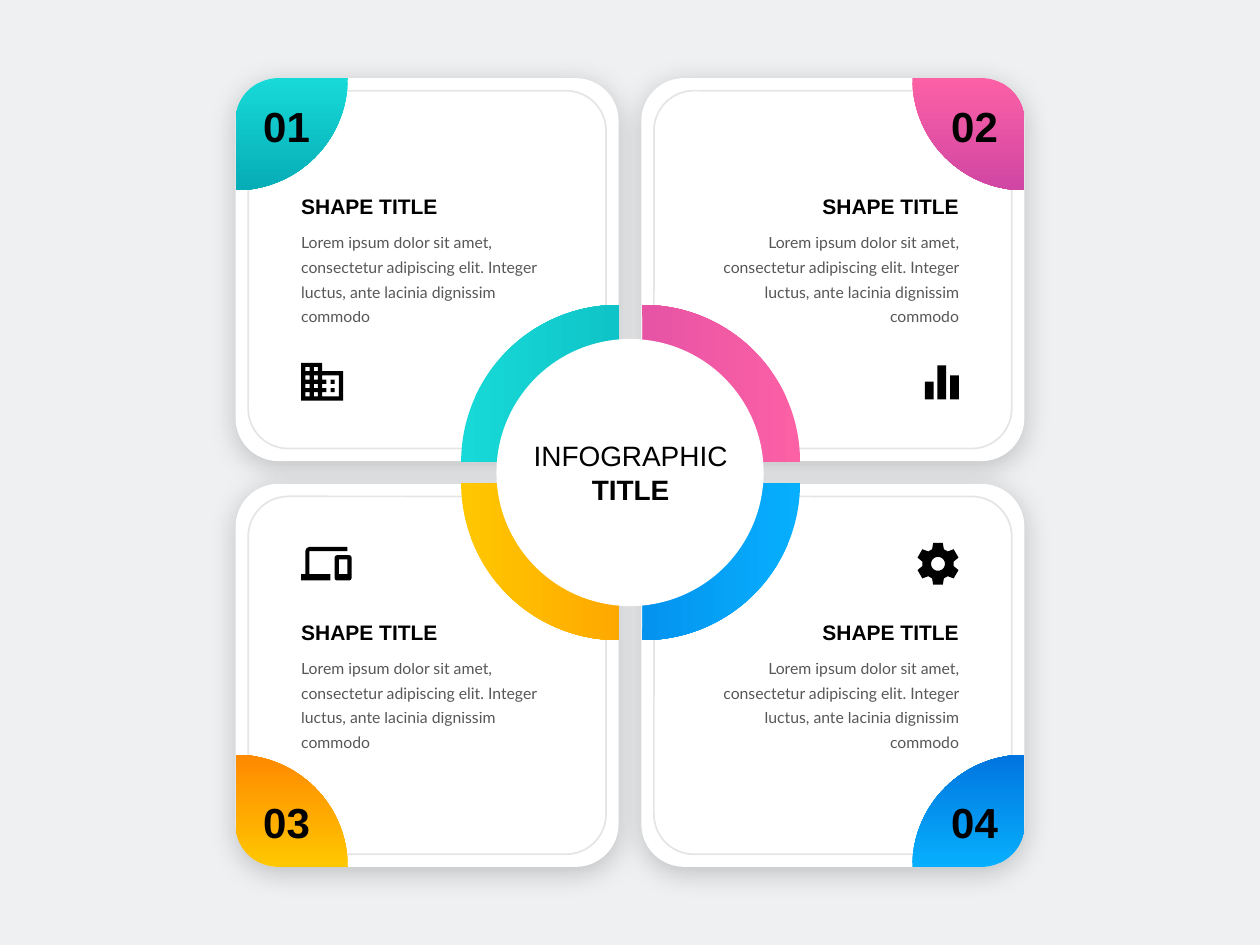
import math

import pptx
import pptx.dml.color
import pptx.enum.shapes
import pptx.enum.text
import pptx.oxml
import pptx.oxml.ns
import pptx.util

Inches, Pt = pptx.util.Inches, pptx.util.Pt
RGBColor = pptx.dml.color.RGBColor
SHAPE = pptx.enum.shapes.MSO_SHAPE
ALIGN = pptx.enum.text.PP_ALIGN
ANCHOR = pptx.enum.text.MSO_ANCHOR
AUTO = pptx.enum.text.MSO_AUTO_SIZE
qn = pptx.oxml.ns.qn

BLACK = RGBColor(0, 0, 0)
WHITE = RGBColor(255, 255, 255)
BACKDROP = RGBColor(0xEE, 0xF0, 0xF2)
TEAL = RGBColor(0x17, 0xD9, 0xD8), RGBColor(0x06, 0xAD, 0xB6)
PINK = RGBColor(0xFC, 0x60, 0xA5), RGBColor(0xD0, 0x46, 0xA4)
YELLOW = RGBColor(0xFF, 0xC7, 0x00), RGBColor(0xFF, 0x89, 0x01)
BLUE = RGBColor(0x07, 0xAF, 0xFE), RGBColor(0x00, 0x75, 0xDF)

TITLE = "SHAPE TITLE"
BODY = ("Lorem ipsum dolor sit amet, consectetur adipiscing elit. "
        "Integer luctus, ante lacinia dignissim commodo")


def box(x, y, w, h):
    return [(x, y), (x + w, y), (x + w, y + h), (x, y + h)]


def polar(radius, degrees):
    a = math.radians(degrees)
    return radius * math.cos(a), radius * math.sin(a)


# Icons: left, top, size of one unit, contours in units
OFFICE = (2.39, 2.88, 0.3 / 9, [
    [(5, 2), (5, 0), (0, 0), (0, 9), (10, 9), (10, 2)],
    [(9, 8), (5, 8), (5, 7), (6, 7), (6, 6), (5, 6),
     (5, 5), (6, 5), (6, 4), (5, 4), (5, 3), (9, 3)],
    *[box(x, y, 1, 1) for x in (1, 3) for y in (1, 3, 5, 7)],
    *[box(7, y, 1, 1) for y in (4, 6)]])
BARS = (7.34, 2.9, 0.01, [
    box(10 * i, top, 7, 27 - top) for i, top in enumerate((13, 0, 8))])
DEVICES = (2.39, 4.34, 0.4 / 24, [
    [(4, 2), (22, 2), (22, 0), (4, 0), (2.6, 0.6), (2, 2), (2, 13),
     (0, 13), (0, 16), (14, 16), (14, 13), (4, 13)],
    [(17, 4), (23, 4), (23.7, 4.3), (24, 5), (24, 15), (23.7, 15.7),
     (23, 16), (17, 16), (16.3, 15.7), (16, 15), (16, 5), (16.3, 4.3)],
    box(18, 6, 4, 7)])
GEAR = (7.445, 4.475, 0.01, [
    [polar(radius, 60 * tooth + 30 + turn) for tooth in range(6)
     for radius, turn in ((12.5, -22), (17, -13), (17, 13), (12.5, 22))],
    [polar(5.5, a) for a in range(0, 360, 10)]])

# Number, column, row, colours, icon
CARDS = [("01", 0, 0, TEAL, OFFICE), ("02", 1, 0, PINK, BARS),
         ("03", 0, 1, YELLOW, DEVICES), ("04", 1, 1, BLUE, GEAR)]
CARD, INSET = 3.04, 0.1
CARD_X, CARD_Y = (1.87, 5.09), (0.62, 3.84)
ROUND = 0.112
CORNER, CORNER_ROUND = 0.89, 0.34

prs = pptx.Presentation()
prs.slide_width, prs.slide_height = Inches(10), Inches(7.5)
s = prs.slides.add_slide(prs.slide_layouts[6])
s.background.fill.solid()
s.background.fill.fore_color.rgb = BACKDROP


def set_alpha(element, percent):
    for clr in element.iter(qn("a:srgbClr")):
        clr.makeelement  # colour element takes one alpha child
        alpha = pptx.oxml.parse_xml(
            f'<a:alpha {pptx.oxml.ns.nsdecls("a")} val="{percent * 1000}"/>')
        clr.append(alpha)


def paint(sp, fill=None, angle=0):
    """Fill with one colour, a pair of gradient colours or nothing."""
    sp.shadow.inherit = False
    sp.line.fill.background()
    if fill is None:
        sp.fill.background()
    elif isinstance(fill, RGBColor):
        sp.fill.solid()
        sp.fill.fore_color.rgb = fill
    else:
        sp.fill.gradient()
        sp.fill.gradient_angle = angle
        for stop, color in zip(sp.fill.gradient_stops, fill):
            stop.color.rgb = color
            stop.position = fill.index(color)


def add_preset(kind, x, y, w, h, fill=None, adjustments=()):
    sp = s.shapes.add_shape(kind, Inches(x), Inches(y), Inches(w), Inches(h))
    for i, value in enumerate(adjustments):
        sp.adjustments[i] = value
    paint(sp, fill)
    return sp


def add_outline(contours, fill, angle=0):
    """Draw closed contours, given in inches, as one shape."""
    contours = [[(Inches(x), Inches(y)) for x, y in c] for c in contours]
    builder = s.shapes.build_freeform(*contours[0][0], scale=1.0)
    for i, points in enumerate(contours):
        if i:
            builder.move_to(*points[0])
        builder.add_line_segments(points[1:], close=True)
    paint(builder.convert_to_shape(), fill, angle)


def add_text(x, y, w, h, runs, size, align, font="Arial", anchor=ANCHOR.MIDDLE,
             spacing=None, grow=False, alpha=None):
    tf = s.shapes.add_textbox(Inches(x), Inches(y), Inches(w), Inches(h)).text_frame
    tf.word_wrap = True
    tf.auto_size = AUTO.SHAPE_TO_FIT_TEXT if grow else AUTO.NONE
    tf.vertical_anchor = anchor
    tf.margin_left = tf.margin_right = tf.margin_top = tf.margin_bottom = 0
    p = tf.paragraphs[0]
    p.alignment = align
    if spacing:
        p.line_spacing = spacing
    for text, bold in runs:
        r = p.add_run()
        r.text = text
        r.font.name, r.font.size, r.font.bold = font, Pt(size), bold
        r.font.color.rgb = BLACK
        if alpha:
            set_alpha(r._r, alpha)


def add_card(x, y):
    sp = add_preset(SHAPE.ROUNDED_RECTANGLE, x, y, CARD, CARD, WHITE, [ROUND])
    sp.element.spPr.find(qn("a:effectLst")).append(pptx.oxml.parse_xml(
        f'<a:outerShdw {pptx.oxml.ns.nsdecls("a")} blurRad="{Pt(16)}" '
        f'dist="{Pt(3)}" dir="5400000" algn="t" rotWithShape="0">'
        '<a:srgbClr val="000000"><a:alpha val="20000"/></a:srgbClr></a:outerShdw>'))


def add_corner(col, row, colors):
    x, y = CARD_X[col] + CARD * col, CARD_Y[row] + CARD * row
    sweep = range(0, 91, 3)
    r = CORNER_ROUND
    points = [polar(CORNER, a) for a in sweep]
    for a in reversed(sweep):
        cos, sin = polar(r, a)
        points.append((r - sin, r - cos))
    side, down = 1 - 2 * col, 1 - 2 * row
    add_outline([[(x + side * u, y + down * v) for u, v in points]],
                colors, 90 if row else 270)


for _, col, row, _, _ in CARDS:
    add_card(CARD_X[col], CARD_Y[row])

for number, col, row, colors, (left, top, unit, contours) in CARDS:
    align = (ALIGN.LEFT, ALIGN.RIGHT)[col]
    text_x, title_y = (2.39, 5.62)[col], (1.54, 4.92)[row]
    add_text(text_x, title_y + 0.265, 1.99, 0.77, [(BODY, False)], 9, align, "Lato",
             ANCHOR.TOP, spacing=1.3, grow=True, alpha=65)
    add_text(text_x, title_y, 1.99, 0.2, [(TITLE, True)], 12, align, grow=True)
    add_outline([[(left + unit * u, top + unit * v) for u, v in c]
                 for c in contours], BLACK)

    frame = add_preset(SHAPE.ROUNDED_RECTANGLE, CARD_X[col] + INSET, CARD_Y[row] + INSET,
                       CARD - 2 * INSET, CARD - 2 * INSET, None, [ROUND])
    frame.line.color.rgb = BLACK
    frame.line.width = Pt(1)
    set_alpha(frame.element.spPr, 10)

    add_corner(col, row, colors)
    add_text((1.96, 7.42)[col], (0.76, 6.29)[row], 0.63, 0.47,
             [(number, True)], 24, ALIGN.CENTER)

    arc = add_preset(SHAPE.BLOCK_ARC, (3.66, 3.86)[col], (2.42, 2.59)[row],
                     2.49, 2.49, colors, [108, 162.1, 0.13])
    arc.element.spPr.xfrm.set("flipH", str(col))
    arc.element.spPr.xfrm.set("flipV", str(row))

add_preset(SHAPE.OVAL, 3.94, 2.69, 2.12, 2.12, WHITE)
add_text(3.96, 3.43, 2.09, 0.64, [("INFOGRAPHIC", False), (" TITLE", True)],
         16, ALIGN.CENTER)

prs.save("out.pptx")
